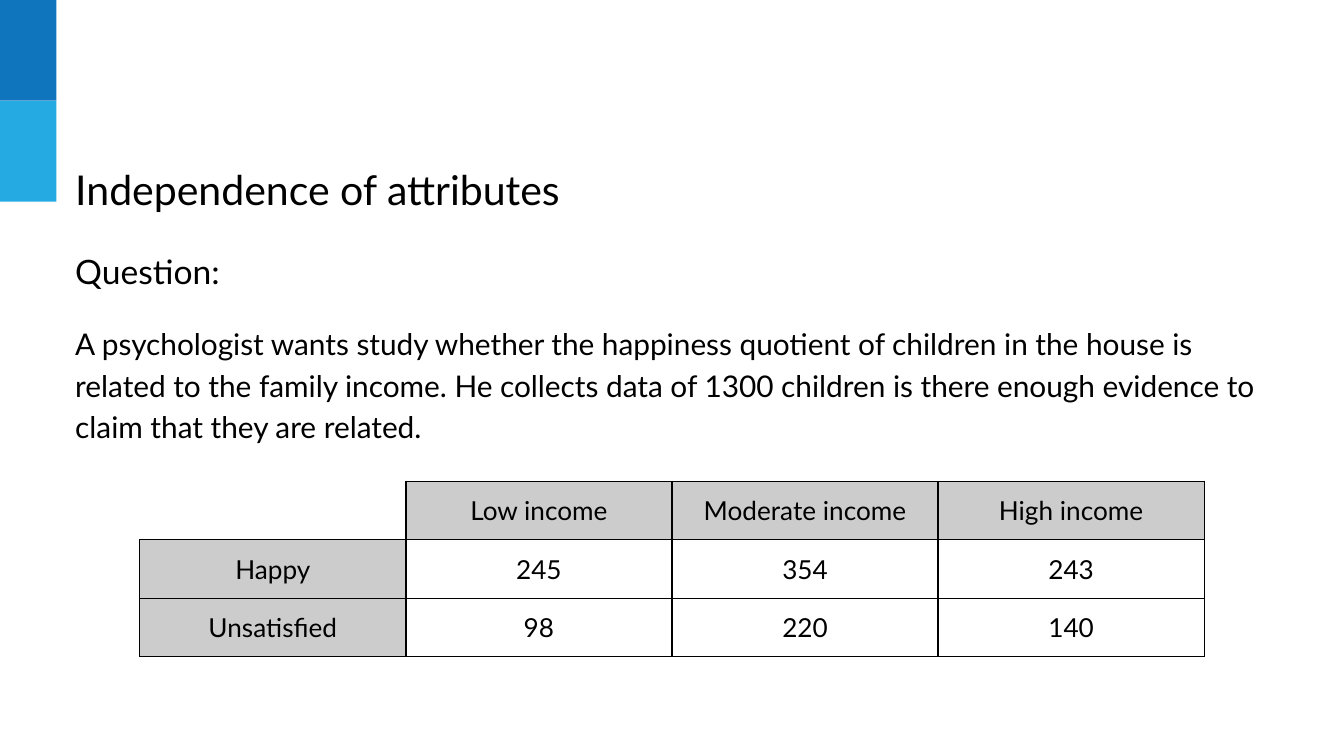
from lxml import etree
from pptx import Presentation
from pptx.dml.color import RGBColor
from pptx.enum import shapes, text
from pptx.oxml.ns import qn
from pptx.util import Inches, Pt

HUES = {"ink": "000000", "deep": "0F75BD", "sky": "25AAE2", "head": "CCCCCC"}
FONT = "Lato"
ROWS = [
    ["", "Low income", "Moderate income", "High income"],
    ["Happy", "245", "354", "243"],
    ["Unsatisfied", "98", "220", "140"],
]


def hue(name):
    return RGBColor.from_string(HUES[name])


class Deck:
    def __init__(self, show):
        self.slide = show.slides.add_slide(show.slide_layouts[1])

    def style(self, para, size, align=text.PP_ALIGN.LEFT):
        para.alignment = align
        for run in para.runs:
            run.font.name = FONT
            run.font.size = Pt(size)
            run.font.color.rgb = hue("ink")
        if not para.runs:
            # The end mark keeps an empty cell from growing its row.
            etree.SubElement(para._p, qn("a:endParaRPr"), sz=str(size * 100))

    def block(self, top, height, color):
        box = self.slide.shapes.add_shape(
            shapes.MSO_SHAPE.RECTANGLE, 0, Inches(top), Inches(0.42), Inches(height))
        box.shadow.inherit = False
        box.fill.solid()
        box.fill.fore_color.rgb = hue(color)
        box.line.fill.background()

    def holder(self, index, place, lines):
        """Fill a placeholder with (words, size, before, after) lines."""
        box = self.slide.placeholders[index]
        box.left, box.top, box.width, box.height = map(Inches, place)
        frame = box.text_frame
        frame.word_wrap = True
        frame.auto_size = text.MSO_AUTO_SIZE.NONE
        frame.vertical_anchor = text.MSO_ANCHOR.TOP
        frame.margin_left = frame.margin_right = Inches(0.1)
        frame.margin_top = frame.margin_bottom = Inches(0.1)
        frame.text = "\n".join(line[0] for line in lines)
        for para, (_, size, before, after) in zip(frame.paragraphs, lines):
            para.line_spacing = 1.15
            para.space_before, para.space_after = Pt(before), Pt(after)
            props = para._p.get_or_add_pPr()
            props.set("marL", "0")
            props.set("indent", "0")
            etree.SubElement(props, qn("a:buNone"))
            self.style(para, size)

    def border(self, cell, sides):
        """Draw the given sides, and clear the others."""
        props = cell._tc.get_or_add_tcPr()
        for spot, side in enumerate("LRTB"):
            line = etree.Element(qn(f"a:ln{side}"), w=str(Pt(0.75)))
            if side in sides:
                fill = etree.SubElement(line, qn("a:solidFill"))
                etree.SubElement(fill, qn("a:srgbClr"), val=HUES["ink"])
            else:
                etree.SubElement(line, qn("a:noFill"))
            props.insert(spot, line)

    def table(self, left, top, wide, high, rows):
        count, span = len(rows), len(rows[0])
        grid = self.slide.shapes.add_table(
            count, span, Inches(left), Inches(top),
            Inches(wide * span), Inches(high * count)).table
        grid.first_row = grid.horz_banding = False
        for r, row in enumerate(rows):
            for c, words in enumerate(row):
                cell = grid.cell(r, c)
                cell.text = words
                cell.vertical_anchor = text.MSO_ANCHOR.MIDDLE
                cell.margin_left = cell.margin_right = Inches(0.1)
                cell.margin_top = cell.margin_bottom = Inches(0.1)
                self.style(cell.text_frame.paragraphs[0], 14, text.PP_ALIGN.CENTER)
                if words and 0 in (r, c):
                    cell.fill.solid()
                    cell.fill.fore_color.rgb = hue("head")
                else:
                    cell.fill.background()
                self.border(cell, "LRTB" if words else "RB")


def main():
    show = Presentation()
    show.slide_width, show.slide_height = Inches(10), Inches(10 * 9 / 16)
    deck = Deck(show)
    for i, color in enumerate(["deep", "sky"]):
        deck.block(0.75 * i, 0.75, color)
    deck.holder(0, (0.46, 1.07, 5.84, 0.43),
                [("Independence of attributes", 22, 0, 16)])
    deck.holder(1, (0.46, 1.72, 9.18, 1.64), [
        ("Question:", 18, 0, 0),
        ("A psychologist wants study whether the happiness quotient of children "
         "in the house is related to the family income. He collects data of 1300 "
         "children is there enough evidence to claim that they are related.",
         16, 16, 16),
    ])
    deck.table(1.04, 3.58, 1.98, 0.42, ROWS)
    show.save("out.pptx")


if __name__ == "__main__":
    main()
